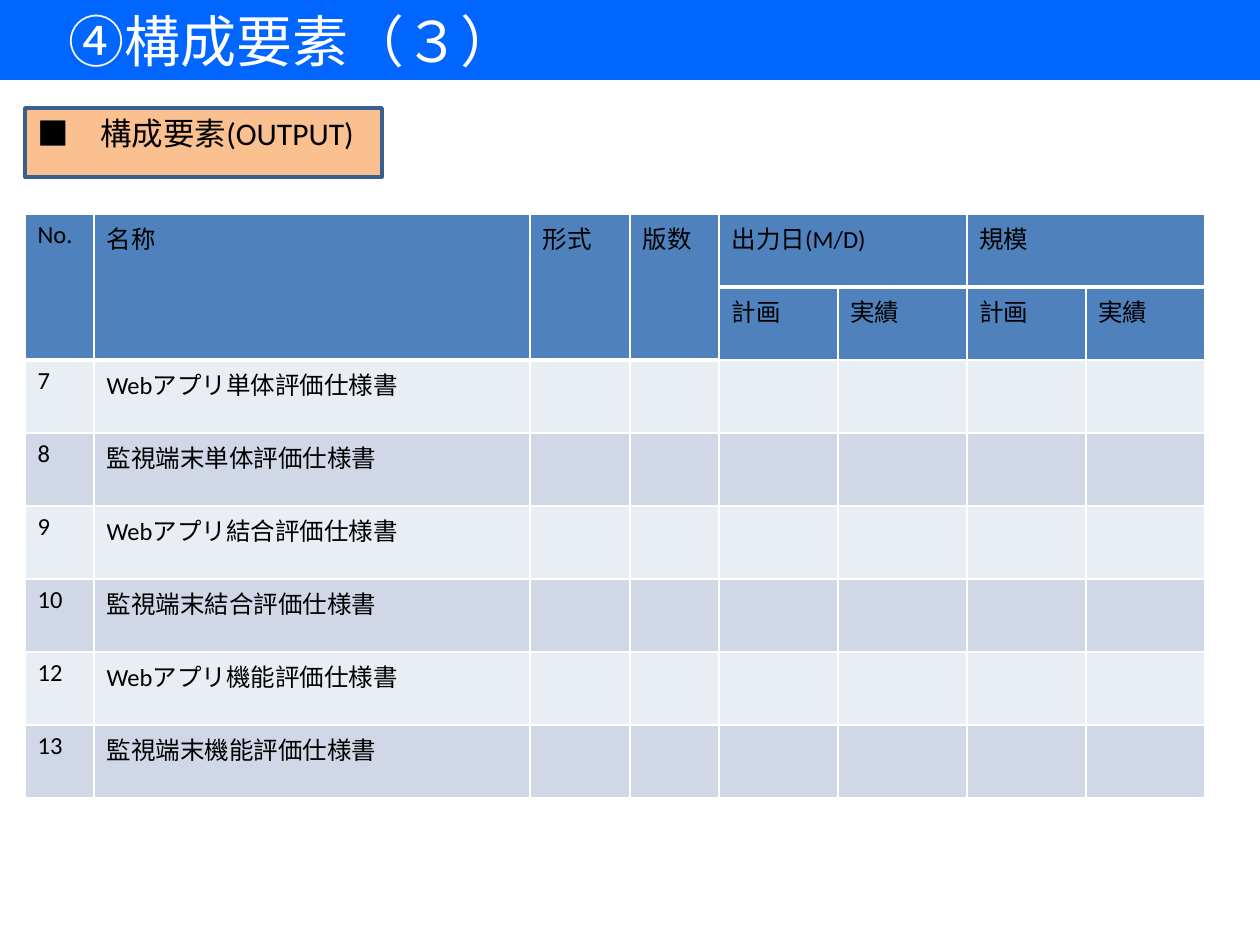
from lxml import etree
from pptx import Presentation
from pptx.dml.color import RGBColor
from pptx.enum.shapes import MSO_SHAPE
from pptx.enum.text import MSO_ANCHOR, PP_ALIGN
from pptx.oxml.ns import qn
from pptx.util import Pt

RECT = MSO_SHAPE.RECTANGLE
LEFT = PP_ALIGN.LEFT
TOP = MSO_ANCHOR.TOP
SCALE = 914400 // 126


def px(n):
    return n * SCALE


def rgb(value):
    return RGBColor.from_string(value)


class Deck:
    BLUE, HEADER, PEACH, EDGE = "0066FF", "4F81BD", "FAC090", "3A5F8C"
    WHITE, BLACK = "FFFFFF", "000000"
    BANDS = ("E9EDF4", "D0D8E8")

    def __init__(self, width, height):
        self.prs = Presentation()
        self.prs.slide_width, self.prs.slide_height = px(width), px(height)
        self.slide = self.prs.slides.add_slide(self.prs.slide_layouts[6])

    def add_text(self, tf, text, size, font="Calibri", color=BLACK):
        p = tf.paragraphs[0]
        p.alignment = LEFT
        r = p.add_run()
        r.text = text
        for name, value in {"size": Pt(size), "name": font}.items():
            setattr(r.font, name, value)
        r.font.color.rgb = rgb(color)

    def box(self, bounds, text, fill, line=None, **style):
        sp = self.slide.shapes.add_shape(RECT, *map(px, bounds))
        sp.shadow.inherit = False
        sp.fill.solid()
        sp.fill.fore_color.rgb = rgb(fill)
        if line:
            sp.line.color.rgb = rgb(line)
            sp.line.width = Pt(2)
        else:
            sp.line.fill.background()
        tf = sp.text_frame
        tf.word_wrap = True
        tf.vertical_anchor = TOP
        self.add_text(tf, text, **style)

    def borders(self, cell, bottom):
        tcPr = cell._tc.get_or_add_tcPr()
        for side, width in {"L": 1, "R": 1, "T": 1, "B": bottom}.items():
            ln = etree.SubElement(tcPr, qn(f"a:ln{side}"), w=str(Pt(width)))
            fill = etree.SubElement(ln, qn("a:solidFill"))
            etree.SubElement(fill, qn("a:srgbClr"), val=self.WHITE)

    def table(self, left, top, widths, row_height, rows, merges, heads, thick):
        shape = self.slide.shapes.add_table(
            len(rows), len(widths), px(left), px(top),
            px(sum(widths)), px(row_height * len(rows)))
        table = shape.table
        for column, width in zip(table.columns, widths):
            column.width = px(width)
        for i, row in enumerate(rows):
            table.rows[i].height = px(row_height)
            fill = self.HEADER if i < heads else self.BANDS[(i - heads) % 2]
            for j in range(len(widths)):
                cell = table.cell(i, j)
                self.borders(cell, 3 if (i, j) in thick else 1)
                cell.fill.solid()
                cell.fill.fore_color.rgb = rgb(fill)
                if j < len(row) and row[j]:
                    self.add_text(cell.text_frame, row[j], 14)
        for start, end in merges:
            table.cell(*start).merge(table.cell(*end))


deck = Deck(1260, 945)

# Title bar
deck.box((0, 0, 1260, 80), "　④構成要素（３）", deck.BLUE,
         size=32, font="Times New Roman", color=deck.WHITE)

# Section label
deck.box((25, 108, 357, 69), "■　構成要素(OUTPUT)", deck.PEACH, deck.EDGE, size=18)

# Output documents: two header rows, then one row for each document
documents = [
    ("7", "Webアプリ単体評価仕様書"),
    ("8", "監視端末単体評価仕様書"),
    ("9", "Webアプリ結合評価仕様書"),
    ("10", "監視端末結合評価仕様書"),
    ("12", "Webアプリ機能評価仕様書"),
    ("13", "監視端末機能評価仕様書"),
]
headers = [
    ("No.", "名称", "形式", "版数", "出力日(M/D)", "", "規模"),
    ("", "", "", "", "計画", "実績", "計画", "実績"),
]
merges = [((0, j), (1, j)) for j in range(4)]
merges += [((0, j), (0, j + 1)) for j in (4, 6)]
thick = {(0, j) for j in range(8)} | {(1, j) for j in range(4)}
deck.table(25, 214, (69, 436, 100, 89, 119, 129, 119, 119), 73,
           headers + documents, merges, len(headers), thick)

deck.prs.save("out.pptx")
